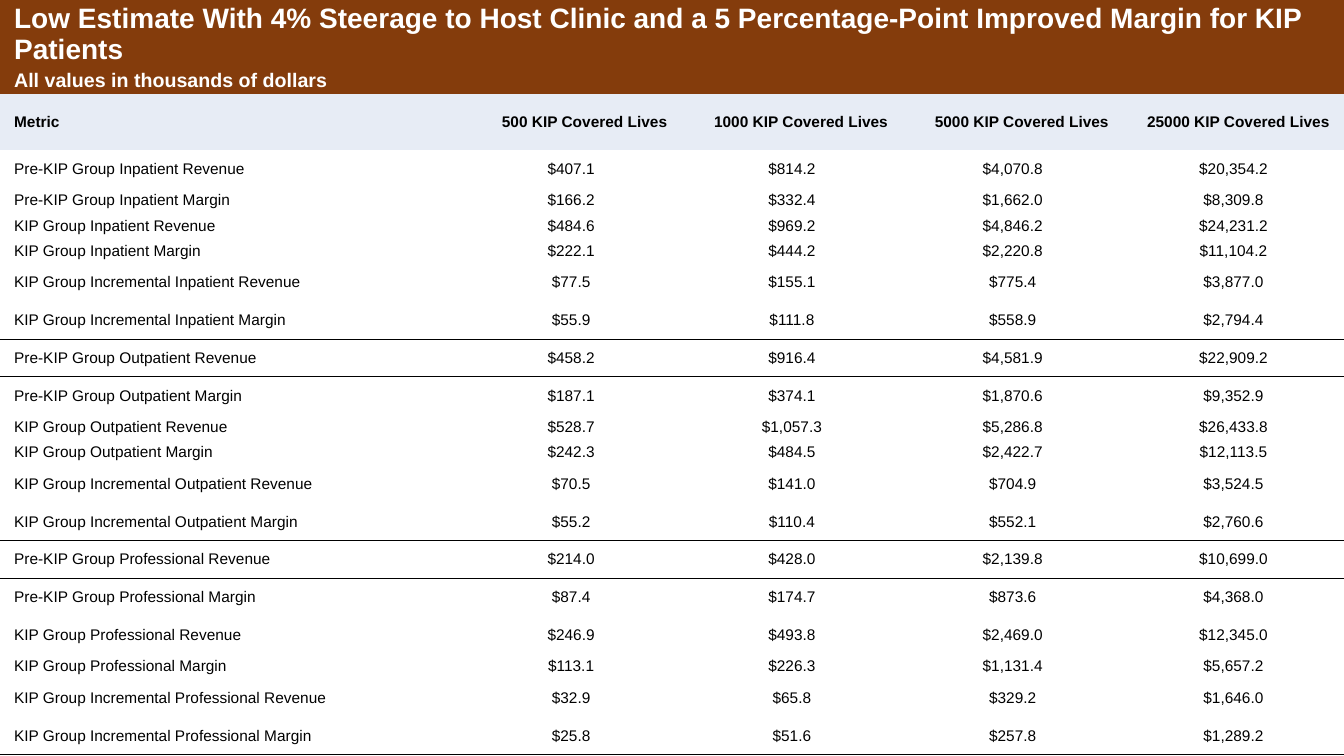
from lxml.etree import SubElement
from pptx import Presentation
from pptx.dml.color import RGBColor
from pptx.enum.text import MSO_ANCHOR, PP_ALIGN
from pptx.oxml.ns import qn
from pptx.util import Inches, Pt

# Content
TITLE = ("Low Estimate With 4% Steerage to Host Clinic and a "
         "5 Percentage-Point Improved Margin for KIP Patients")
SUBTITLE = "All values in thousands of dollars"
HEADERS = ["Metric", "500 KIP Covered Lives", "1000 KIP Covered Lives",
           "5000 KIP Covered Lives", "25000 KIP Covered Lives"]
METRICS = [
    ("Pre-KIP Group Inpatient Revenue", "$407.1", "$814.2", "$4,070.8", "$20,354.2"),
    ("Pre-KIP Group Inpatient Margin", "$166.2", "$332.4", "$1,662.0", "$8,309.8"),
    ("KIP Group Inpatient Revenue", "$484.6", "$969.2", "$4,846.2", "$24,231.2"),
    ("KIP Group Inpatient Margin", "$222.1", "$444.2", "$2,220.8", "$11,104.2"),
    ("KIP Group Incremental Inpatient Revenue", "$77.5", "$155.1", "$775.4", "$3,877.0"),
    ("KIP Group Incremental Inpatient Margin", "$55.9", "$111.8", "$558.9", "$2,794.4"),
    ("Pre-KIP Group Outpatient Revenue", "$458.2", "$916.4", "$4,581.9", "$22,909.2"),
    ("Pre-KIP Group Outpatient Margin", "$187.1", "$374.1", "$1,870.6", "$9,352.9"),
    ("KIP Group Outpatient Revenue", "$528.7", "$1,057.3", "$5,286.8", "$26,433.8"),
    ("KIP Group Outpatient Margin", "$242.3", "$484.5", "$2,422.7", "$12,113.5"),
    ("KIP Group Incremental Outpatient Revenue", "$70.5", "$141.0", "$704.9", "$3,524.5"),
    ("KIP Group Incremental Outpatient Margin", "$55.2", "$110.4", "$552.1", "$2,760.6"),
    ("Pre-KIP Group Professional Revenue", "$214.0", "$428.0", "$2,139.8", "$10,699.0"),
    ("Pre-KIP Group Professional Margin", "$87.4", "$174.7", "$873.6", "$4,368.0"),
    ("KIP Group Professional Revenue", "$246.9", "$493.8", "$2,469.0", "$12,345.0"),
    ("KIP Group Professional Margin", "$113.1", "$226.3", "$1,131.4", "$5,657.2"),
    ("KIP Group Incremental Professional Revenue", "$32.9", "$65.8", "$329.2", "$1,646.0"),
    ("KIP Group Incremental Professional Margin", "$25.8", "$51.6", "$257.8", "$1,289.2"),
]
SHORT_ROWS = {1, 2, 3, 8, 9, 15}
GROUP_SIZE = 6

# Style
BROWN = RGBColor(0x84, 0x3C, 0x0C)
PALE_BLUE = RGBColor(0xE7, 0xEC, 0xF5)
WHITE = RGBColor(0xFF, 0xFF, 0xFF)
BLACK = RGBColor(0, 0, 0)
NO_STYLE = "{2D5ABB26-0587-4C30-8999-92F81FD0307C}"
SHORT = 0.25
TALL = 1.5 * SHORT
HEIGHTS = [0.68, SHORT, 0.56] + [SHORT if i in SHORT_ROWS else TALL
                                 for i in range(len(METRICS))]
WIDTHS = [4.57] + [2.19] * 4


def write_cell(cell, text, size=11, color=BLACK, bold=False, align=PP_ALIGN.LEFT, fill=None):
    cell.margin_left = cell.margin_right = cell.margin_top = cell.margin_bottom = 0
    cell.vertical_anchor = MSO_ANCHOR.MIDDLE
    if fill is None:
        cell.fill.background()
    else:
        cell.fill.solid()
        cell.fill.fore_color.rgb = fill
    p = cell.text_frame.paragraphs[0]
    p.alignment = align
    pPr = p._p.get_or_add_pPr()
    for side in ("marL", "marR"):
        pPr.set(side, str(Inches(0.14)))
    pPr.set("indent", "0")
    r = p.add_run()
    r.text = text
    r.font.name, r.font.size, r.font.bold = "Arial", Pt(size), bold
    r.font.color.rgb = color


def add_border(cell, side):
    tcPr = cell._tc.get_or_add_tcPr()
    ln = SubElement(tcPr, qn("a:" + side), w=str(Pt(1)))
    SubElement(SubElement(ln, qn("a:solidFill")), qn("a:srgbClr"), val=str(BLACK))
    tcPr.insert(0, ln)


prs = Presentation()
prs.slide_width, prs.slide_height = Inches(13.33), Inches(7.5)
s = prs.slides.add_slide(prs.slide_layouts[6])

# Table grid
frame = s.shapes.add_table(len(HEIGHTS), len(WIDTHS), 0, 0,
                           Inches(sum(WIDTHS)), Inches(sum(HEIGHTS)))
table = frame.table
table.first_row = table.horz_banding = False
table._tbl.tblPr.find(qn("a:tableStyleId")).text = NO_STYLE
for column, width in zip(table.columns, WIDTHS):
    column.width = Inches(width)
for row, height in zip(table.rows, HEIGHTS):
    row.height = Inches(height)

# Title bands
for i, (text, size) in enumerate([(TITLE, 20), (SUBTITLE, 14)]):
    table.cell(i, 0).merge(table.cell(i, len(WIDTHS) - 1))
    write_cell(table.cell(i, 0), text, size, WHITE, True, fill=BROWN)

# Column headers
for j, text in enumerate(HEADERS):
    write_cell(table.cell(2, j), text, bold=True, fill=PALE_BLUE,
               align=PP_ALIGN.RIGHT if j else PP_ALIGN.LEFT)

# Metrics, with a rule below each group
for i, values in enumerate(METRICS):
    for j, text in enumerate(values):
        cell = table.cell(i + 3, j)
        write_cell(cell, text, align=PP_ALIGN.CENTER if j else PP_ALIGN.LEFT)
        if i % GROUP_SIZE == GROUP_SIZE - 1:
            add_border(cell, "lnB")
        elif i and i % GROUP_SIZE == 0:
            add_border(cell, "lnT")

prs.save("out.pptx")
